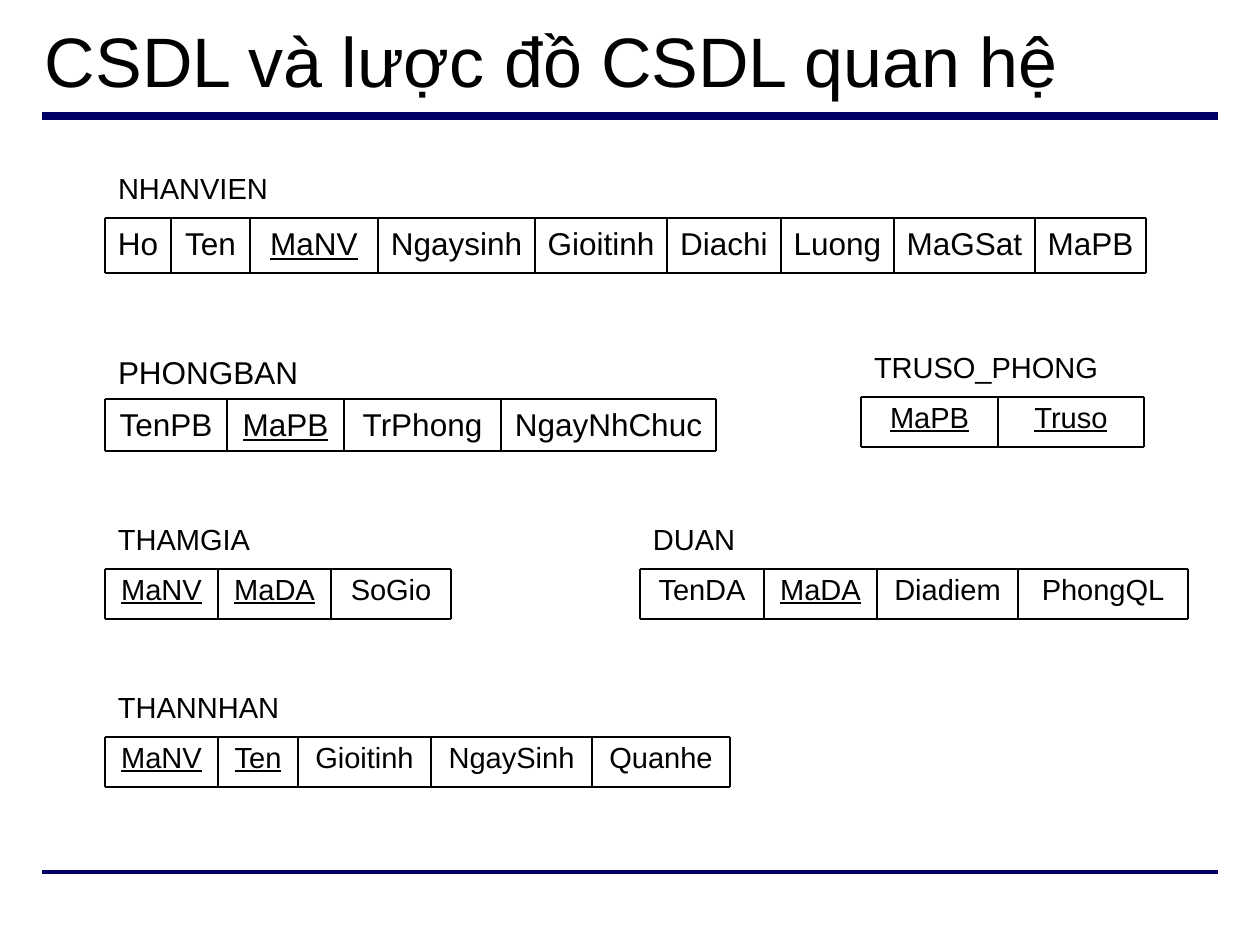
from itertools import accumulate

from lxml.etree import SubElement
from pptx import Presentation
from pptx.dml.color import RGBColor
from pptx.enum.shapes import MSO_CONNECTOR
from pptx.enum.text import MSO_ANCHOR, PP_ALIGN
from pptx.oxml.ns import qn
from pptx.util import Pt

SCALE = 914400 / 126
COLORS = {"ink": "000000", "rule": "000066"}
LARGE = {"size": 18, "spacing": 1.0}
SMALL = {"size": 16.6, "spacing": 0.9}
HEADLINE = {"size": 40, "spacing": 1.0}

RELATIONS = [
    {"name": "NHANVIEN", "box": (105, 168, 273, 50, 55), "label": SMALL, "cell": LARGE,
     "fields": [("Ho", 66), ("Ten", 79), ("MaNV", 128), ("Ngaysinh", 157), ("Gioitinh", 132),
                ("Diachi", 114), ("Luong", 113), ("MaGSat", 141), ("MaPB", 111)],
     "keys": {"MaNV"}},
    {"name": "PHONGBAN", "box": (105, 347, 333, 52, 52), "label": LARGE, "cell": LARGE,
     "fields": [("TenPB", 122), ("MaPB", 117), ("TrPhong", 157), ("NgayNhChuc", 215)],
     "keys": {"MaPB"}},
    {"name": "TRUSO_PHONG", "box": (861, 347, 284, 50, 50), "label": SMALL, "cell": SMALL,
     "fields": [("MaPB", 137), ("Truso", 146)], "keys": {"MaPB", "Truso"}},
    {"name": "THAMGIA", "box": (105, 519, 277, 50, 50), "label": SMALL, "cell": SMALL,
     "fields": [("MaNV", 113), ("MaDA", 113), ("SoGio", 120)], "keys": {"MaNV", "MaDA"}},
    {"name": "DUAN", "box": (640, 519, 377, 50, 50), "label": SMALL, "cell": SMALL,
     "fields": [("TenDA", 124), ("MaDA", 113), ("Diadiem", 141), ("PhongQL", 170)],
     "keys": {"MaDA"}},
    {"name": "THANNHAN", "box": (105, 687, 276, 50, 50), "label": SMALL, "cell": SMALL,
     "fields": [("MaNV", 113), ("Ten", 80), ("Gioitinh", 133), ("NgaySinh", 161),
                ("Quanhe", 138)],
     "keys": {"MaNV", "Ten"}},
]


def px(value):
    """Turn pixels into EMU."""
    return round(value * SCALE)


def set_all(target, values):
    """Set every attribute named in a dict of values."""
    for name, value in values.items():
        setattr(target, name, value)


def add_text(shapes, box, text, style, align=PP_ALIGN.LEFT, underline=False,
             anchor=MSO_ANCHOR.TOP, side=13):
    """Add a one-line text box."""
    frame = shapes.add_textbox(*map(px, box)).text_frame
    set_all(frame, {"word_wrap": True, "vertical_anchor": anchor, "margin_left": px(side),
                    "margin_right": px(side), "margin_top": px(6), "margin_bottom": px(6)})
    para = frame.paragraphs[0]
    set_all(para, {"alignment": align, "line_spacing": style["spacing"]})
    span = para.add_run()
    span.text = text
    set_all(span.font, {"name": "Arial", "size": Pt(style["size"]), "underline": underline})
    span.font.color.rgb = RGBColor.from_string(COLORS["ink"])


def add_line(shapes, start, end, color="ink", width=1):
    """Add a straight line between two points."""
    line = shapes.add_connector(MSO_CONNECTOR.STRAIGHT, *map(px, (*start, *end)))
    line.line.width = Pt(width)
    line.line.color.rgb = RGBColor.from_string(COLORS[color])
    SubElement(line._element.spPr, qn("a:effectLst"))


def add_frame(page, left, right):
    """Add the headline and the two rules of the page."""
    for y, width in ((116, 4.5), (872, 2.25)):
        add_line(page.shapes, (left, y), (right, y), "rule", width)
    add_text(page.shapes, (left - 10, 11, right - left + 21, 97),
             "CSDL và lược đồ CSDL quan hệ", HEADLINE, anchor=MSO_ANCHOR.MIDDLE)


def add_relation(page, relation):
    """Add a relation name above its row of ruled fields."""
    left, top, label_width, label_height, row_height = relation["box"]
    shapes = page.shapes.add_group_shape().shapes
    row_top = top + label_height
    row_bottom = row_top + row_height
    edges = list(accumulate((width for _, width in relation["fields"]), initial=left))
    add_text(shapes, (left, top, label_width, label_height), relation["name"], relation["label"])
    for (field, width), edge in zip(relation["fields"], edges):
        add_text(shapes, (edge, row_top, width, row_height), field, relation["cell"],
                 PP_ALIGN.CENTER, field in relation["keys"], side=0)
    for y in (row_top, row_bottom):
        add_line(shapes, (left, y), (edges[-1], y))
    for edge in edges:
        add_line(shapes, (edge, row_top), (edge, row_bottom))


def main():
    """Build the deck and save it."""
    deck = Presentation()
    set_all(deck, {"slide_width": px(1260), "slide_height": px(945)})
    page = deck.slides.add_slide(deck.slide_layouts[6])
    add_frame(page, 42, 1218)
    for relation in RELATIONS:
        add_relation(page, relation)
    deck.save("out.pptx")


if __name__ == "__main__":
    main()
